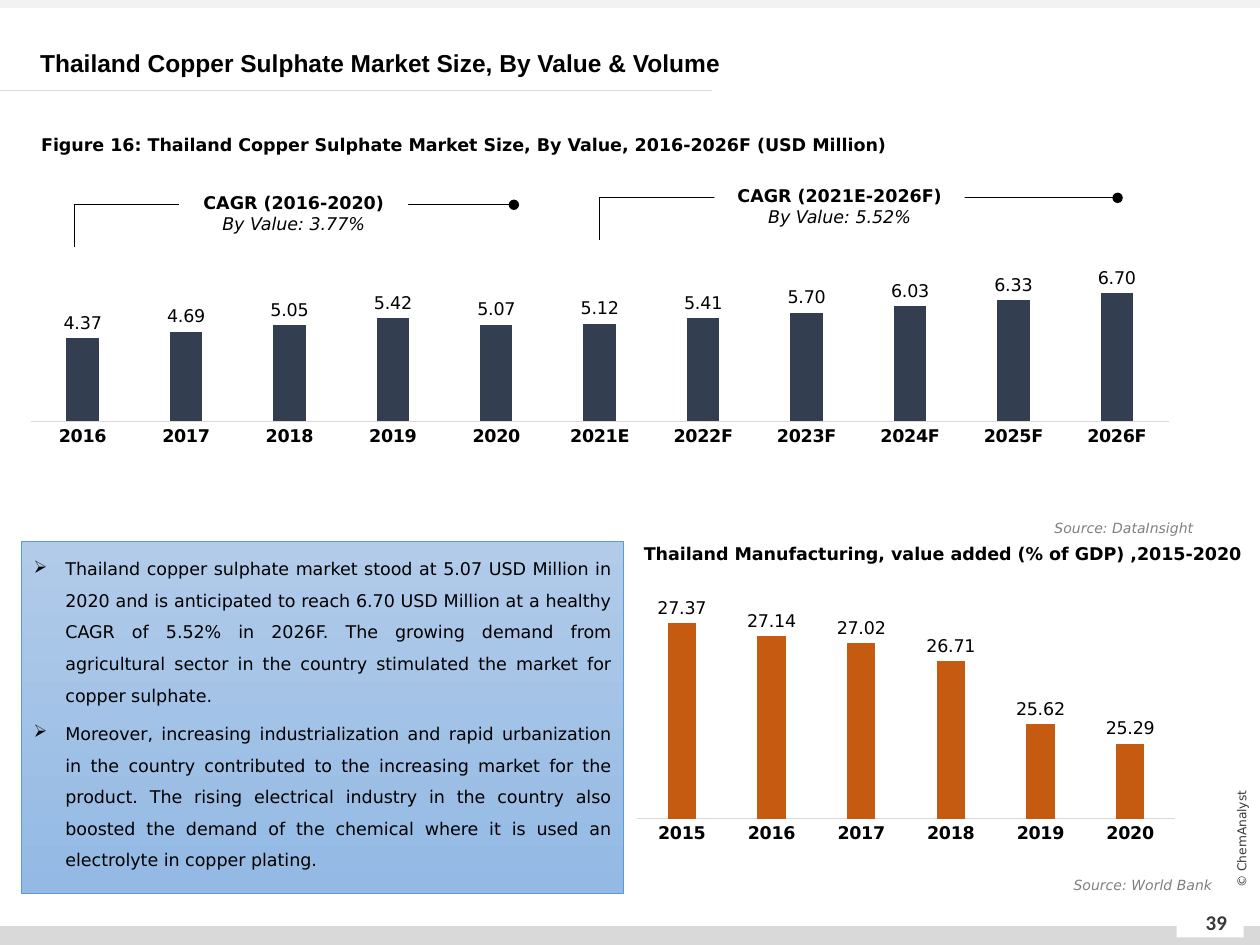
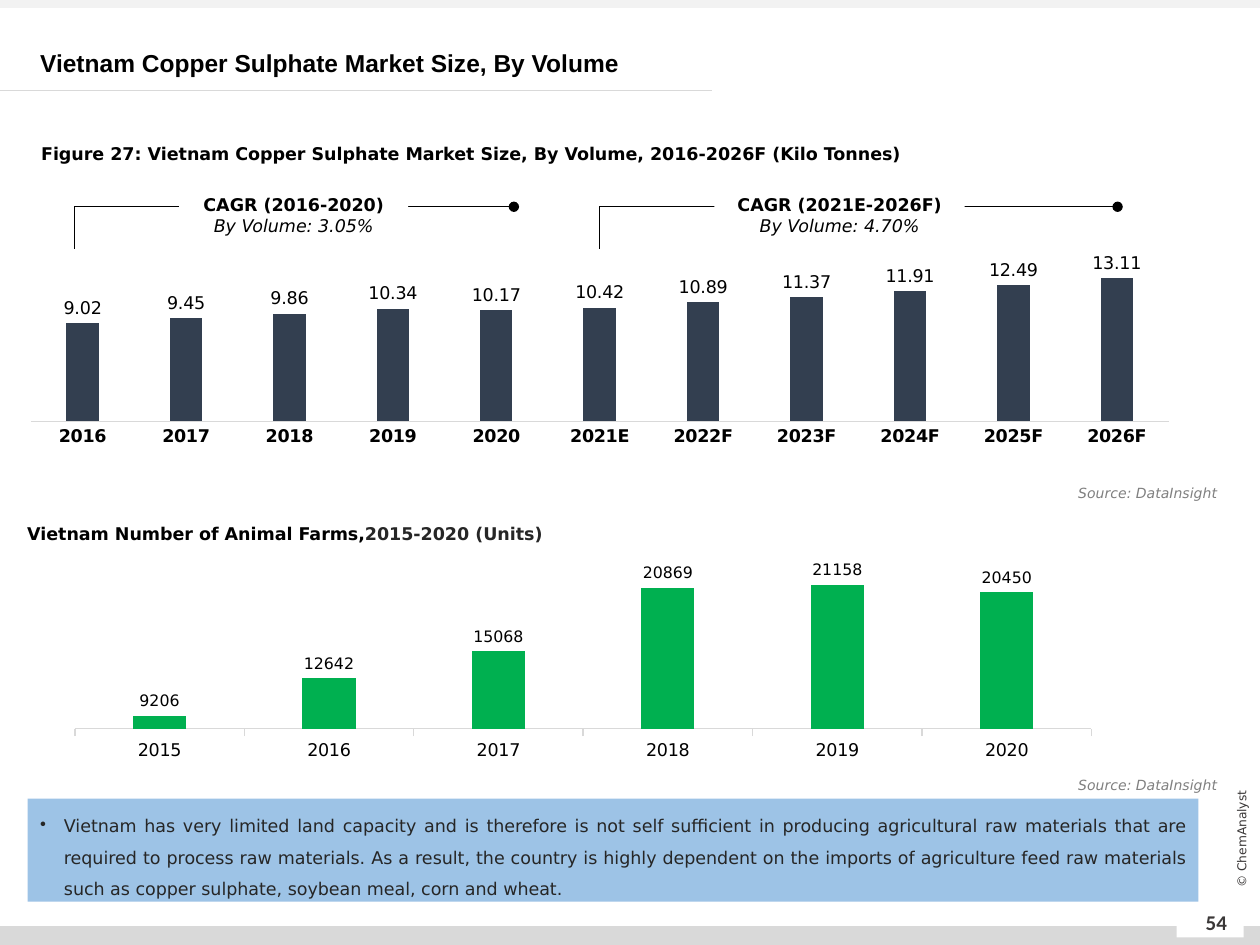
from lxml import etree
from pptx import Presentation
from pptx.chart.data import CategoryChartData
from pptx.dml.color import RGBColor
from pptx.enum.chart import XL_CHART_TYPE as ChartType
from pptx.enum.chart import XL_LABEL_POSITION as LabelPosition
from pptx.enum.chart import XL_TICK_MARK as TickMark
from pptx.enum.shapes import MSO_CONNECTOR as Connector
from pptx.enum.shapes import MSO_SHAPE as Shape
from pptx.enum.text import MSO_ANCHOR as Anchor
from pptx.enum.text import PP_ALIGN as Align
from pptx.oxml.ns import qn
from pptx.util import Cm, Pt

COLORS = {
    "text": "000000",
    "soft_text": "262626",
    "footer_text": "3B3838",
    "source": "808080",
    "white": "FFFFFF",
    "top_band": "F2F2F2",
    "rule": "D9D9D9",
    "market_bar": "333F50",
    "manufacturing_bar": "C55A11",
    "farm_bar": "00B050",
    "gradient_top": "B1CBE9",
    "gradient_bottom": "93B9E4",
    "box_border": "5B9BD5",
    "flat_box": "9DC3E6",
}
BODY_FONT = "DejaVu Sans"
MARKET_YEARS = ["2016", "2017", "2018", "2019", "2020", "2021E",
                "2022F", "2023F", "2024F", "2025F", "2026F"]
INDICATOR_YEARS = [str(year) for year in range(2015, 2021)]


def rgb(name):
    return RGBColor.from_string(COLORS[name])


def lengths(box):
    return [Cm(value) for value in box]


def style_font(font, size=10, color="text", bold=False, italic=False, name=BODY_FONT):
    font.size, font.name = Pt(size), name
    font.bold, font.italic = bold, italic
    font.color.rgb = rgb(color)


def add_text(slide, box, text, align=Align.LEFT, spacing=None, anchor=Anchor.TOP, **style):
    shape = slide.shapes.add_textbox(*lengths(box))
    frame = shape.text_frame
    frame.word_wrap = True
    frame.vertical_anchor = anchor
    frame.text = text
    paragraph = frame.paragraphs[0]
    paragraph.alignment = align
    if spacing:
        paragraph.line_spacing = spacing
    style_font(paragraph.runs[0].font, **style)
    return shape


def add_rectangle(slide, box, fill):
    shape = slide.shapes.add_shape(Shape.RECTANGLE, *lengths(box))
    shape.shadow.inherit = False
    shape.fill.solid()
    shape.fill.fore_color.rgb = rgb(fill)
    shape.line.fill.background()
    shape.text_frame.word_wrap = True
    return shape


def add_line(slide, kind, start, end, color):
    line = slide.shapes.add_connector(kind, *lengths(start + end))
    line.line.color.rgb = rgb(color)
    line.line.width = Pt(0.5)
    etree.SubElement(line.element.spPr, qn("a:effectLst"))
    return line


def add_frame(slide, title, page):
    """Draw the bands, title, copyright line and page number of a slide."""
    add_rectangle(slide, (0, 18.67, 25.4, 0.38), "rule")
    add_rectangle(slide, (0, 0, 25.4, 0.16), "top_band")
    add_rectangle(slide, (23.72, 18.34, 1.35, 0.56), "white")
    add_line(slide, Connector.STRAIGHT, (0, 1.83), (14.35, 1.83), "rule")
    add_text(slide, (23.9, 18.08, 1.24, 1.02), page, Align.CENTER, anchor=Anchor.MIDDLE,
             size=12, color="footer_text", bold=True, name="Calibri")
    copyright_line = add_text(slide, (23.5, 16.71, 3.05, 0.41), "© ChemAnalyst", Align.CENTER,
                              anchor=Anchor.MIDDLE, size=7, color="footer_text")
    copyright_line.rotation = 270
    add_text(slide, (0.56, 0.86, 24.79, 0.81), title, spacing=Pt(17), anchor=Anchor.MIDDLE,
             size=14, bold=True, name="Arial")


def add_source(slide, right, top, name):
    width = 6.12
    add_text(slide, (right - width, top, width, 0.61), f"Source: {name}", Align.RIGHT,
             size=8, color="source", italic=True)


def set_plot_layout(chart, layout):
    """Fix the inner plot area as fractions (x, y, w, h) of the chart."""
    plot_area = chart.element.find(".//" + qn("c:plotArea"))
    for old_layout in plot_area.findall(qn("c:layout")):
        plot_area.remove(old_layout)
    holder = etree.Element(qn("c:layout"))
    manual = etree.SubElement(holder, qn("c:manualLayout"))
    settings = [("layoutTarget", "inner"), ("xMode", "edge"), ("yMode", "edge")]
    settings += zip("xywh", layout)
    for tag, value in settings:
        etree.SubElement(manual, qn(f"c:{tag}")).set("val", str(value))
    plot_area.insert(0, holder)


def add_column_chart(slide, box, years, values, color, scale, layout, number_format="0.00",
                     label_size=10, bold_years=True, tick=TickMark.NONE):
    data = CategoryChartData()
    data.categories = years
    data.add_series("Series 1", values)
    chart = slide.shapes.add_chart(ChartType.COLUMN_CLUSTERED, *lengths(box), data).chart
    chart.has_legend = chart.has_title = False
    style_font(chart.font)
    set_plot_layout(chart, layout)

    value_axis = chart.value_axis
    value_axis.minimum_scale, value_axis.maximum_scale = scale
    value_axis.has_major_gridlines = False
    value_axis.visible = False

    year_axis = chart.category_axis
    year_axis.major_tick_mark = tick
    year_axis.minor_tick_mark = TickMark.NONE
    year_axis.format.line.color.rgb = rgb("rule")
    year_axis.format.line.width = Pt(0.75)
    style_font(year_axis.tick_labels.font, bold=bold_years)

    plot = chart.plots[0]
    plot.gap_width, plot.overlap = 219, -27
    plot.vary_by_categories = False
    fill = plot.series[0].format.fill
    fill.solid()
    fill.fore_color.rgb = rgb(color)

    plot.has_data_labels = True
    labels = plot.data_labels
    labels.show_value = True
    labels.position = LabelPosition.OUTSIDE_END
    labels.number_format = number_format
    labels.number_format_is_linked = False
    style_font(labels.font, size=label_size)


def add_market_chart(slide, values, maximum):
    add_column_chart(slide, (0.61, 4.57, 22.96, 5.28), MARKET_YEARS, values, "market_bar",
                     (0, maximum), (0, 0.16, 1, 0.584))


def add_growth_bracket(slide, left, right, top, label_left, label_width, period, growth):
    """Draw a bracket ending in a dot, broken by its growth-rate label."""
    bracket = add_line(slide, Connector.ELBOW, (left, top + 0.85), (right, top), "text")
    geometry = bracket.element.spPr.find(qn("a:prstGeom"))
    adjustments = geometry.find(qn("a:avLst"))
    if adjustments is None:
        adjustments = etree.SubElement(geometry, qn("a:avLst"))
    etree.SubElement(adjustments, qn("a:gd"), name="adj1", fmla="val 0")
    outline = bracket.element.spPr.find(qn("a:ln"))
    etree.SubElement(outline, qn("a:tailEnd"), type="oval")

    label = add_rectangle(slide, (label_left, top - 0.56, label_width, 1.45), "white")
    frame = label.text_frame
    frame.vertical_anchor = Anchor.MIDDLE
    frame.text = f"CAGR ({period})\n{growth}"
    for index, paragraph in enumerate(frame.paragraphs):
        paragraph.alignment = Align.CENTER
        style_font(paragraph.runs[0].font, bold=index == 0, italic=index == 1)


def add_growth_brackets(slide, past_top, past_growth, forecast_top, forecast_growth):
    add_growth_bracket(slide, 12.09, 22.53, forecast_top, 14.4, 5.05,
                       "2021E-2026F", forecast_growth)
    add_growth_bracket(slide, 1.5, 10.36, past_top, 3.61, 4.62, "2016-2020", past_growth)


def add_bullet_box(slide, box, points, bullet, indent, fill, color):
    shape = add_rectangle(slide, box, fill)
    frame = shape.text_frame
    frame.vertical_anchor = Anchor.TOP
    frame.text = "\n".join(points)
    for index, paragraph in enumerate(frame.paragraphs):
        properties = paragraph._p.get_or_add_pPr()
        properties.set("marL", str(Cm(indent)))
        properties.set("indent", str(-Cm(indent)))
        etree.SubElement(properties, qn("a:buChar"), char=bullet)
        paragraph.alignment = Align.JUSTIFY
        paragraph.line_spacing = 1.5
        if index:
            paragraph.space_before = Pt(4)
        style_font(paragraph.runs[0].font, color=color)
    return shape


def shade_box(shape):
    shape.fill.gradient()
    shape.fill.gradient_angle = 270
    for stop, color in zip(shape.fill.gradient_stops, ("gradient_top", "gradient_bottom")):
        stop.color.rgb = rgb(color)
    shape.line.color.rgb = rgb("box_border")
    shape.line.width = Pt(0.5)


def build_thailand(slide):
    add_frame(slide, "Thailand Copper Sulphate Market Size, By Value & Volume", "39")
    add_text(slide, (0.58, 2.36, 22.4, 0.81),
             "Figure 16: Thailand Copper Sulphate Market Size, By Value, 2016-2026F (USD Million)",
             spacing=1.5, bold=True)
    add_market_chart(slide, (4.37, 4.69, 5.05, 5.42, 5.07, 5.12, 5.41, 5.70, 6.03, 6.33, 6.70), 8)
    add_growth_brackets(slide, 4.13, "By Value: 3.77%", 3.99, "By Value: 5.52%")
    add_source(slide, 24.31, 10.34, "DataInsight")
    add_column_chart(slide, (12.83, 11.71, 10.87, 5.51), INDICATOR_YEARS,
                     (27.37, 27.14, 27.02, 26.71, 25.62, 25.29), "manufacturing_bar",
                     (24, 28), (0, 0.02, 1, 0.85))
    add_text(slide, (12.73, 10.82, 12.73, 0.69),
             "Thailand Manufacturing, value added (% of GDP) ,2015-2020", bold=True)
    add_source(slide, 24.69, 17.55, "World Bank")
    points = [
        "Thailand copper sulphate market stood at 5.07 USD Million in 2020 and is anticipated to "
        "reach 6.70 USD Million at a healthy CAGR of 5.52% in 2026F. The growing demand from "
        "agricultural sector in the country stimulated the market for copper sulphate.",
        "Moreover, increasing industrialization and rapid urbanization in the country contributed "
        "to the increasing market for the product. The rising electrical industry in the country "
        "also boosted the demand of the chemical where it is used an electrolyte in copper "
        "plating.",
    ]
    shade_box(add_bullet_box(slide, (0.43, 10.92, 12.14, 7.09), points, "➢", 0.64,
                             "gradient_top", "text"))


def build_vietnam(slide):
    add_frame(slide, "Vietnam Copper Sulphate Market Size, By Volume", "54")
    add_market_chart(slide, (9.02, 9.45, 9.86, 10.34, 10.17, 10.42,
                             10.89, 11.37, 11.91, 12.49, 13.11), 14)
    add_growth_brackets(slide, 4.17, "By Volume: 3.05%", 4.17, "By Volume: 4.70%")
    add_text(slide, (0.58, 2.54, 22.4, 0.81),
             "Figure 27: Vietnam Copper Sulphate Market Size, By Volume, 2016-2026F (Kilo Tonnes)",
             spacing=1.5, bold=True)
    add_source(slide, 24.79, 9.65, "DataInsight")
    farms_title = add_text(slide, (0.3, 10.21, 21.97, 0.81), "Vietnam Number of Animal Farms,",
                           spacing=1.5, bold=True)
    period = farms_title.text_frame.paragraphs[0].add_run()
    period.text = "2015-2020 (Units)"
    style_font(period.font, color="soft_text", bold=True)
    add_column_chart(slide, (1.02, 11.2, 21.26, 4.14), INDICATOR_YEARS,
                     (9206, 12642, 15068, 20869, 21158, 20450), "farm_bar", (8000, 22000),
                     (0.023, 0.097, 0.964, 0.747), number_format="0", label_size=9,
                     bold_years=False, tick=TickMark.OUTSIDE)
    add_source(slide, 24.79, 15.52, "DataInsight")
    points = [
        "Vietnam has very limited land capacity and is therefore is not self sufficient in "
        "producing agricultural raw materials that are required to process raw materials. As a "
        "result, the country is highly dependent on the imports of agriculture feed raw materials "
        "such as copper sulphate, soybean meal, corn and wheat.",
    ]
    add_bullet_box(slide, (0.56, 16.1, 23.6, 2.08), points, "•", 0.48, "flat_box", "soft_text")


def main():
    presentation = Presentation()
    presentation.slide_width, presentation.slide_height = Cm(25.4), Cm(19.05)
    blank = presentation.slide_layouts[6]
    for build in (build_thailand, build_vietnam):
        build(presentation.slides.add_slide(blank))
    presentation.save("out.pptx")


if __name__ == "__main__":
    main()
